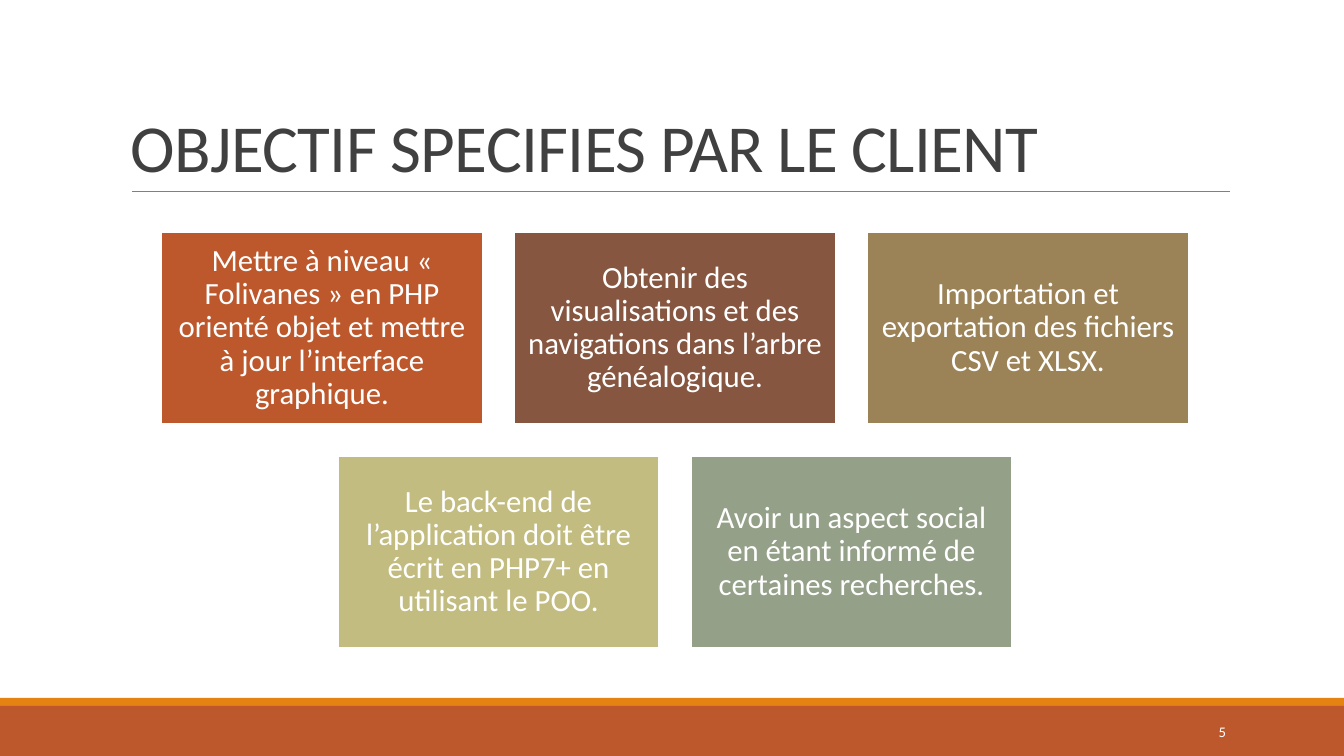
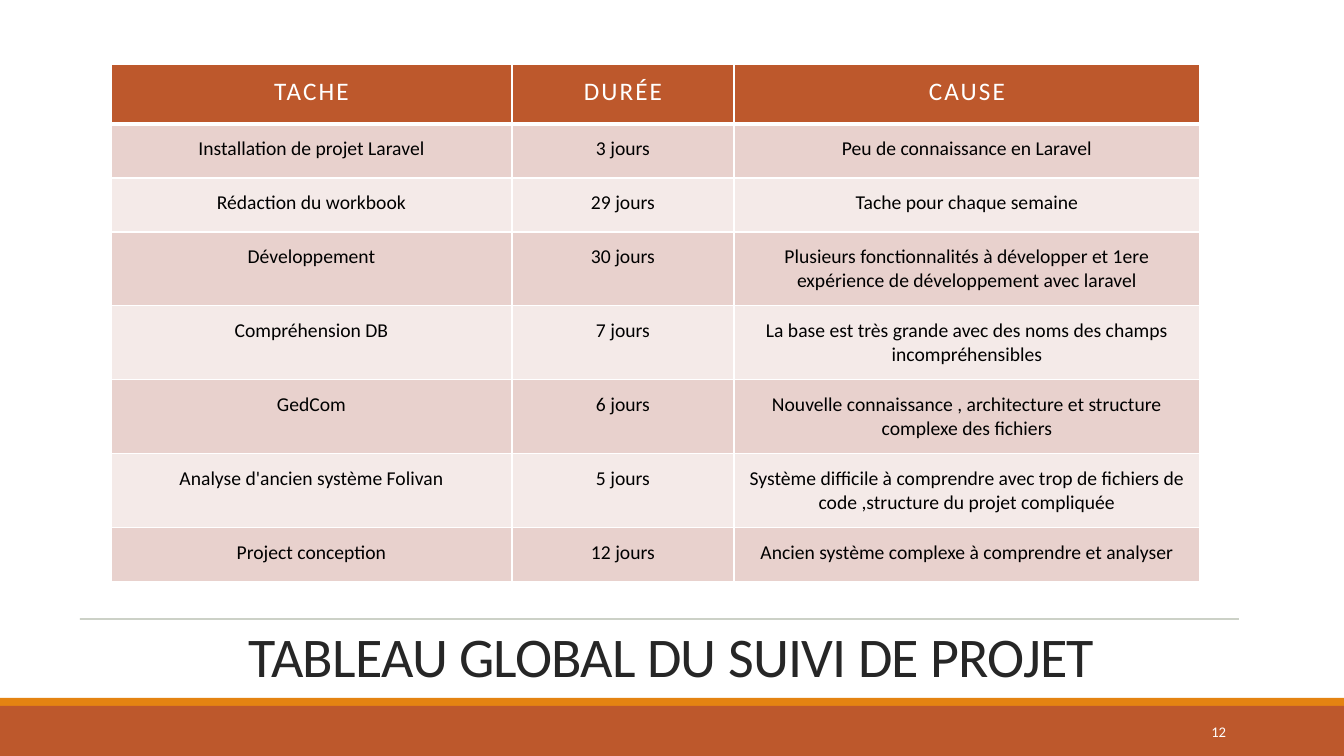
"""Builds two project slides: the client's goals and the task follow-up table."""
from lxml import etree
from pptx import Presentation
from pptx.dml.color import RGBColor
from pptx.enum.shapes import MSO_CONNECTOR, MSO_SHAPE
from pptx.enum.text import MSO_ANCHOR, PP_ALIGN
from pptx.oxml.ns import qn
from pptx.util import Pt

LEFT, CENTER, RIGHT = PP_ALIGN.LEFT, PP_ALIGN.CENTER, PP_ALIGN.RIGHT
MIDDLE, BOTTOM = MSO_ANCHOR.MIDDLE, MSO_ANCHOR.BOTTOM
RECTANGLE, STRAIGHT = MSO_SHAPE.RECTANGLE, MSO_CONNECTOR.STRAIGHT

PX_PER_INCH = 100.8
SLIDE_WIDTH, SLIDE_HEIGHT = 1344, 756
FONT = "Calibri"

WHITE = RGBColor(0xFF, 0xFF, 0xFF)
BLACK = RGBColor(0x00, 0x00, 0x00)
RUST = RGBColor(0xBD, 0x58, 0x2C)
ORANGE = RGBColor(0xE4, 0x83, 0x12)
BROWN = RGBColor(0x86, 0x56, 0x40)
OCHRE = RGBColor(0x9B, 0x83, 0x57)
STRAW = RGBColor(0xC2, 0xBC, 0x80)
SAGE = RGBColor(0x94, 0xA0, 0x88)
DARK_GREY = RGBColor(0x40, 0x40, 0x40)
NEAR_BLACK = RGBColor(0x26, 0x26, 0x26)
RULE_GREY = RGBColor(0x80, 0x80, 0x80)
RULE_GREEN = RGBColor(0x63, 0x70, 0x52)
ROSE = RGBColor(0xE8, 0xD1, 0xCD)
PALE_ROSE = RGBColor(0xF4, 0xEA, 0xE8)

BANDS = [(698, 8, ORANGE), (706, 50, RUST)]

GOAL_ROWS = [
    [
        ("Mettre à niveau « Folivanes » en PHP orienté objet et mettre à jour l’interface graphique.", RUST),
        ("Obtenir des visualisations et des navigations dans l’arbre généalogique.", BROWN),
        ("Importation et exportation des fichiers CSV et XLSX.", OCHRE),
    ],
    [
        ("Le back-end de l’application doit être écrit en PHP7+ en utilisant le POO.", STRAW),
        ("Avoir un aspect social en étant informé de certaines recherches.", SAGE),
    ],
]
CARD_WIDTH, CARD_HEIGHT, CARD_GAP = 321, 192, 32
CARDS_CENTER, CARDS_TOP = 675, 232

TASKS = [
    ("TACHE", "DURÉE", "CAUSE"),
    ("Installation de projet Laravel", "3 jours", "Peu de connaissance en Laravel"),
    ("Rédaction du workbook", "29 jours", "Tache pour chaque semaine"),
    ("Développement", "30 jours",
     "Plusieurs fonctionnalités à développer et 1ere expérience de développement avec laravel"),
    ("Compréhension DB", "7 jours", "La base est très grande avec des noms des champs incompréhensibles"),
    ("GedCom", "6 jours", "Nouvelle connaissance , architecture et structure complexe des fichiers"),
    ("Analyse d'ancien système Folivan", "5 jours",
     "Système difficile à comprendre avec trop de fichiers de code ,structure du projet compliquée"),
    ("Project conception", "12 jours", "Ancien système complexe à comprendre et analyser"),
]
COLUMN_WIDTHS = [401, 222, 466]
ROW_HEIGHTS = [60, 54, 54, 74, 74, 74, 74, 54]
TABLE_LEFT, TABLE_TOP, CELL_MARGIN = 111, 64, 13


def px(length):
    """Turn pixels into EMU."""
    return round(length * 914400 / PX_PER_INCH)


def write(frame, text, size, color, align=LEFT, spacing=0, line_spacing=None, after=0):
    """Set one styled paragraph."""
    frame.text = text
    para = frame.paragraphs[0]
    para.alignment = align
    para.space_after = Pt(after)
    if line_spacing:
        para.line_spacing = line_spacing
    span = para.runs[0]
    span.font.name = FONT
    span.font.size = Pt(size)
    span.font.color.rgb = color
    if spacing:
        span._r.get_or_add_rPr().set("spc", str(round(spacing * 100)))


def add_text(page, area, text, size, color, anchor, **style):
    """Add a wrapping text box."""
    frame = page.shapes.add_textbox(*map(px, area)).text_frame
    frame.word_wrap = True
    frame.vertical_anchor = anchor
    write(frame, text, size, color, after=6, **style)


def add_block(page, area, color):
    """Add a plain filled rectangle."""
    block = page.shapes.add_shape(RECTANGLE, *map(px, area))
    block.shadow.inherit = False
    block.fill.solid()
    block.fill.fore_color.rgb = color
    block.line.fill.background()
    return block


def add_rule(page, left, right, top, color, opacity=100):
    """Add a thin horizontal line."""
    rule = page.shapes.add_connector(STRAIGHT, px(left), px(top), px(right), px(top))
    rule.line.color.rgb = color
    rule.line.width = Pt(0.5)
    properties = rule._element.spPr
    if opacity < 100:
        tint = properties.find(".//" + qn("a:srgbClr"))
        etree.SubElement(tint, qn("a:alpha"), val=str(opacity * 1000))
    etree.SubElement(properties, qn("a:effectLst"))


def add_page(deck, number, title, area, size, color, align):
    """Add a slide with bands, title and page number."""
    page = deck.slides.add_slide(deck.slide_layouts[6])
    for top, height, band_color in BANDS:
        add_block(page, (0, top, SLIDE_WIDTH, height), band_color)
    add_text(page, area, title, size, color, BOTTOM, align=align, spacing=-0.5, line_spacing=0.85)
    add_text(page, (1092, 712, 144, 40), str(number), 10.5, WHITE, MIDDLE, align=RIGHT)
    return page


def add_goals(page):
    """Place each row of cards centred on the same axis."""
    for row, goals in enumerate(GOAL_ROWS):
        row_width = len(goals) * (CARD_WIDTH + CARD_GAP) - CARD_GAP
        top = CARDS_TOP + row * (CARD_HEIGHT + CARD_GAP)
        for column, (text, color) in enumerate(goals):
            left = CARDS_CENTER - row_width / 2 + column * (CARD_WIDTH + CARD_GAP)
            card = add_block(page, (left, top, CARD_WIDTH, CARD_HEIGHT), color)
            card.line.color.rgb = WHITE
            card.line.width = Pt(1.25)
            frame = card.text_frame
            frame.word_wrap = True
            frame.vertical_anchor = MIDDLE
            frame.margin_left = frame.margin_right = px(9)
            frame.margin_top = frame.margin_bottom = px(9)
            write(frame, text, 22, WHITE, CENTER, line_spacing=0.9)


def set_borders(cell, top, bottom):
    """Draw white borders, with the top and bottom widths in points."""
    properties = cell._tc.get_or_add_tcPr()
    for side, width in (("L", 1), ("R", 1), ("T", top), ("B", bottom)):
        border = etree.SubElement(properties, qn("a:ln" + side), w=str(Pt(width)))
        fill = etree.SubElement(border, qn("a:solidFill"))
        etree.SubElement(fill, qn("a:srgbClr"), val=str(WHITE))


def add_tasks(page):
    """Add the task table."""
    area = (TABLE_LEFT, TABLE_TOP, sum(COLUMN_WIDTHS), sum(ROW_HEIGHTS))
    table = page.shapes.add_table(len(TASKS), len(COLUMN_WIDTHS), *map(px, area)).table
    table.first_row = table.horz_banding = False
    for column, width in zip(table.columns, COLUMN_WIDTHS):
        column.width = px(width)
    for index, (row, height, texts) in enumerate(zip(table.rows, ROW_HEIGHTS, TASKS)):
        row.height = px(height)
        header = index == 0
        color = RUST if header else (PALE_ROSE, ROSE)[index % 2]
        for cell, text in zip(row.cells, texts):
            set_borders(cell, top=3 if index == 1 else 1, bottom=3 if header else 1)
            cell.fill.solid()
            cell.fill.fore_color.rgb = color
            cell.margin_left = cell.margin_right = px(CELL_MARGIN)
            cell.margin_top = cell.margin_bottom = px(CELL_MARGIN)
            if header:
                write(cell.text_frame, text, 18, WHITE, CENTER, spacing=1.5)
            else:
                write(cell.text_frame, text, 14, BLACK, CENTER)


def main():
    """Build and save the deck."""
    deck = Presentation()
    deck.slide_width, deck.slide_height = px(SLIDE_WIDTH), px(SLIDE_HEIGHT)

    goals_page = add_page(deck, 5, "OBJECTIF SPECIFIES PAR LE CLIENT",
                          (121, 31, 1109, 160), 48, DARK_GREY, LEFT)
    add_rule(goals_page, 132, 1230, 191, RULE_GREY)
    add_goals(goals_page)

    tasks_page = add_page(deck, 12, "TABLEAU GLOBAL DU SUIVI DE PROJET",
                          (70, 577, 1203, 117), 40, NEAR_BLACK, CENTER)
    add_rule(tasks_page, 80, 1239, 619, RULE_GREEN, opacity=90)
    add_tasks(tasks_page)

    deck.save("out.pptx")


if __name__ == "__main__":
    main()
